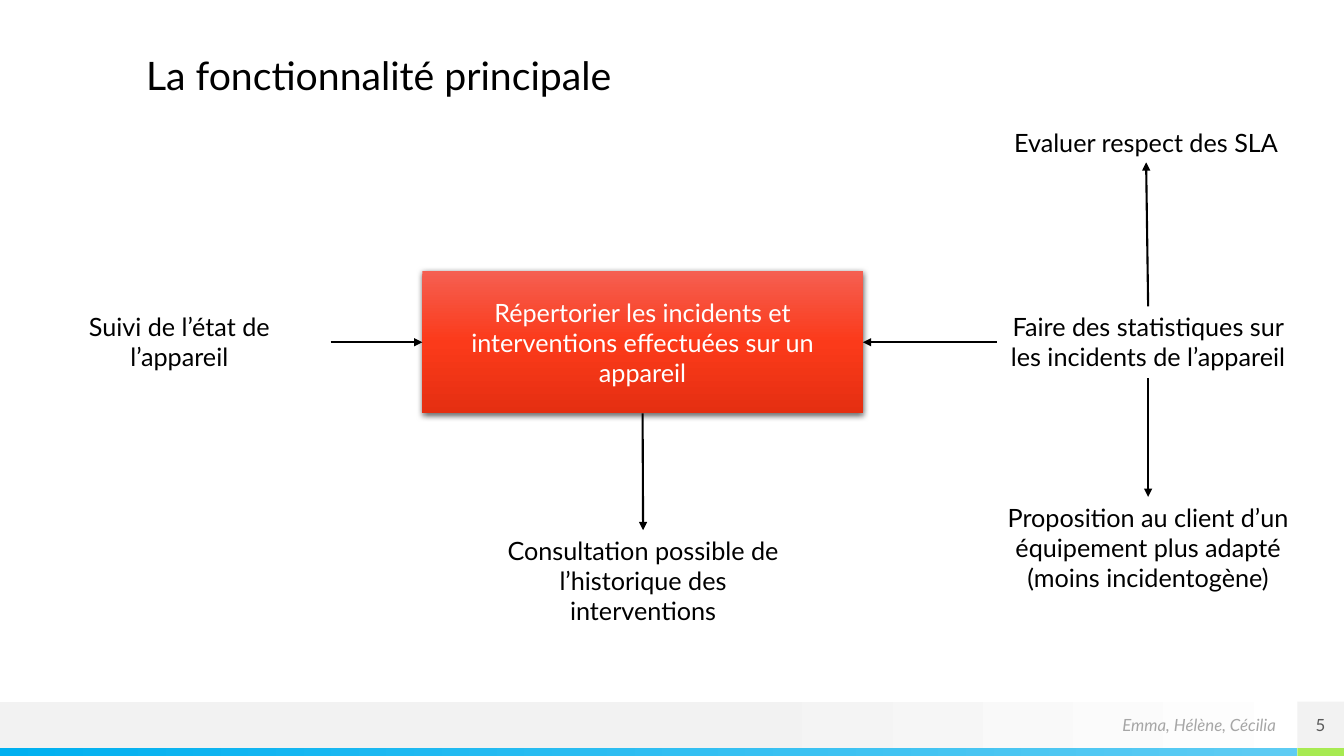
from lxml import etree
from pptx import Presentation
from pptx import util as u
from pptx.dml import color
from pptx.enum import shapes, text
from pptx.oxml import ns

COLORS = {
    "black": "000000", "white": "FFFFFF", "band": "F2F2F2",
    "author": "A6A6A6", "number": "595959",
    "blue": "00B0F0", "sky": "5ECCF3", "green": "A7EA52",
    "coral": "F55F51", "red": "FB3A1A", "brick": "E52F11",
}
COLUMNS, ROWS = 133.33, 75
TOP, LEFT, BOTTOM, RIGHT = range(4)


def rgb(name):
    return color.RGBColor.from_string(COLORS[name])


def add_element(parent, tag, **attributes):
    return etree.SubElement(parent, ns.qn(tag), attributes)


class SlideBuilder:
    font = "Lato"
    body_size = 18
    small_size = 12
    title_size = 28
    line_width = 1.5

    def __init__(self, presentation):
        self.width = presentation.slide_width
        self.height = presentation.slide_height
        self.slide = presentation.slides.add_slide(presentation.slide_layouts[5])

    def place(self, left, top, width, height):
        across, down = self.width / COLUMNS, self.height / ROWS
        return [u.Emu(round(length * unit)) for length, unit in
                zip((left, top, width, height), (across, down, across, down))]

    def set_text(self, shape, words, size, ink, align, anchor, inset=True):
        frame = shape.text_frame
        frame.word_wrap = True
        frame.auto_size = text.MSO_AUTO_SIZE.NONE
        frame.vertical_anchor = anchor
        if not inset:
            frame.margin_left = frame.margin_right = 0
            frame.margin_top = frame.margin_bottom = 0
        paragraph = frame.paragraphs[0]
        paragraph.alignment = align
        run = paragraph.add_run()
        run.text = words
        run.font.name = self.font
        run.font.size = u.Pt(size)
        run.font.color.rgb = rgb(ink)
        return run

    def title(self, words, *box):
        shape = self.slide.shapes.title
        shape.left, shape.top, shape.width, shape.height = self.place(*box)
        self.set_text(shape, words, self.title_size, "black",
                      text.PP_ALIGN.LEFT, text.MSO_ANCHOR.TOP)

    def block(self, fill, *box):
        shape = self.slide.shapes.add_shape(
            shapes.MSO_SHAPE.RECTANGLE, *self.place(*box))
        shape.shadow.inherit = False
        shape.line.fill.background()
        shape.fill.solid()
        shape.fill.fore_color.rgb = rgb(fill)
        return shape

    def gradient(self, stops, angle, *box):
        shape = self.block("white", *box)
        shape.fill.gradient()
        shape.fill.gradient_angle = angle
        stop_list = shape._element.spPr.find(".//" + ns.qn("a:gsLst"))
        for old in list(stop_list):
            stop_list.remove(old)
        for position, name in stops:
            stop = add_element(stop_list, "a:gs", pos=str(position * 1000))
            add_element(stop, "a:srgbClr", val=COLORS[name])
        return shape

    def label(self, words, *box):
        shape = self.block("white", *box)
        self.set_text(shape, words, self.body_size, "black",
                      text.PP_ALIGN.CENTER, text.MSO_ANCHOR.TOP)
        return shape

    def main_box(self, words, *box):
        stops = (0, "coral"), (50, "red"), (100, "brick")
        shape = self.gradient(stops, 270, *box)
        effects = shape._element.spPr.find(ns.qn("a:effectLst"))
        shadow = add_element(effects, "a:outerShdw", blurRad=str(u.Pt(4.5)),
                             dist=str(u.Pt(1.5)), dir="5400000", rotWithShape="0")
        shade = add_element(shadow, "a:srgbClr", val=COLORS["black"])
        add_element(shade, "a:alpha", val="63000")
        self.set_text(shape, words, self.body_size, "white",
                      text.PP_ALIGN.CENTER, text.MSO_ANCHOR.MIDDLE)
        return shape

    def arrow(self, source, source_side, target, target_side):
        connector = self.slide.shapes.add_connector(
            shapes.MSO_CONNECTOR.STRAIGHT, 0, 0, 0, 0)
        connector.begin_connect(source, source_side)
        connector.end_connect(target, target_side)
        connector.line.color.rgb = rgb("black")
        connector.line.width = u.Pt(self.line_width)
        properties = connector._element.spPr
        add_element(properties.find(ns.qn("a:ln")), "a:tailEnd", type="triangle")
        add_element(properties, "a:effectLst")

    def footer(self, authors, number):
        band_top, band_height, edge = 69.6, 4.6, 128.7
        strip_top, strip_height = band_top + band_height, 0.8
        corner = COLUMNS - edge
        self.gradient([(53, "band"), (100, "white")], 0,
                      0, band_top, COLUMNS, band_height)
        self.gradient([(0, "blue"), (100, "sky")], 0,
                      0, strip_top, edge, strip_height)
        self.block("green", edge, strip_top, corner, strip_height)
        credit = self.slide.shapes.add_textbox(
            *self.place(104.2, band_top, 22.4, band_height))
        run = self.set_text(credit, authors, self.small_size, "author",
                            text.PP_ALIGN.RIGHT, text.MSO_ANCHOR.MIDDLE, inset=False)
        run.font.italic = True
        page = self.block("band", edge, band_top, corner, band_height)
        self.set_text(page, number, self.small_size, "number",
                      text.PP_ALIGN.CENTER, text.MSO_ANCHOR.MIDDLE, inset=False)


def main():
    presentation = Presentation()
    presentation.slide_width = u.Inches(13.33)
    presentation.slide_height = u.Inches(7.5)
    builder = SlideBuilder(presentation)
    builder.footer("Emma, Hélène, Cécilia", "5")
    builder.title("La fonctionnalité principale", 13.5, 4.6, 55, 5.7)

    label_width, two_lines, three_lines = 30, 7.1, 10.1
    middle, right = 30.4, 98.9
    incidents = builder.main_box(
        "Répertorier les incidents et interventions effectuées sur un appareil",
        41.9, 26.9, 43.7, 14.1)
    tracking = builder.label("Suivi de l’état de l’appareil",
                             2.8, middle, label_width, two_lines)
    statistics = builder.label(
        "Faire des statistiques sur les incidents de l’appareil",
        right, middle, label_width, two_lines)
    proposal = builder.label(
        "Proposition au client d’un équipement plus adapté (moins incidentogène)",
        right, 49.3, label_width, three_lines)
    history = builder.label(
        "Consultation possible de l’historique des interventions",
        48.8, 52.6, label_width, three_lines)
    agreement = builder.label("Evaluer respect des SLA",
                              98.7, 12.1, label_width, 4)

    builder.arrow(tracking, RIGHT, incidents, LEFT)
    builder.arrow(statistics, LEFT, incidents, RIGHT)
    builder.arrow(statistics, BOTTOM, proposal, TOP)
    builder.arrow(statistics, TOP, agreement, BOTTOM)
    builder.arrow(incidents, BOTTOM, history, TOP)
    presentation.save("out.pptx")


if __name__ == "__main__":
    main()
